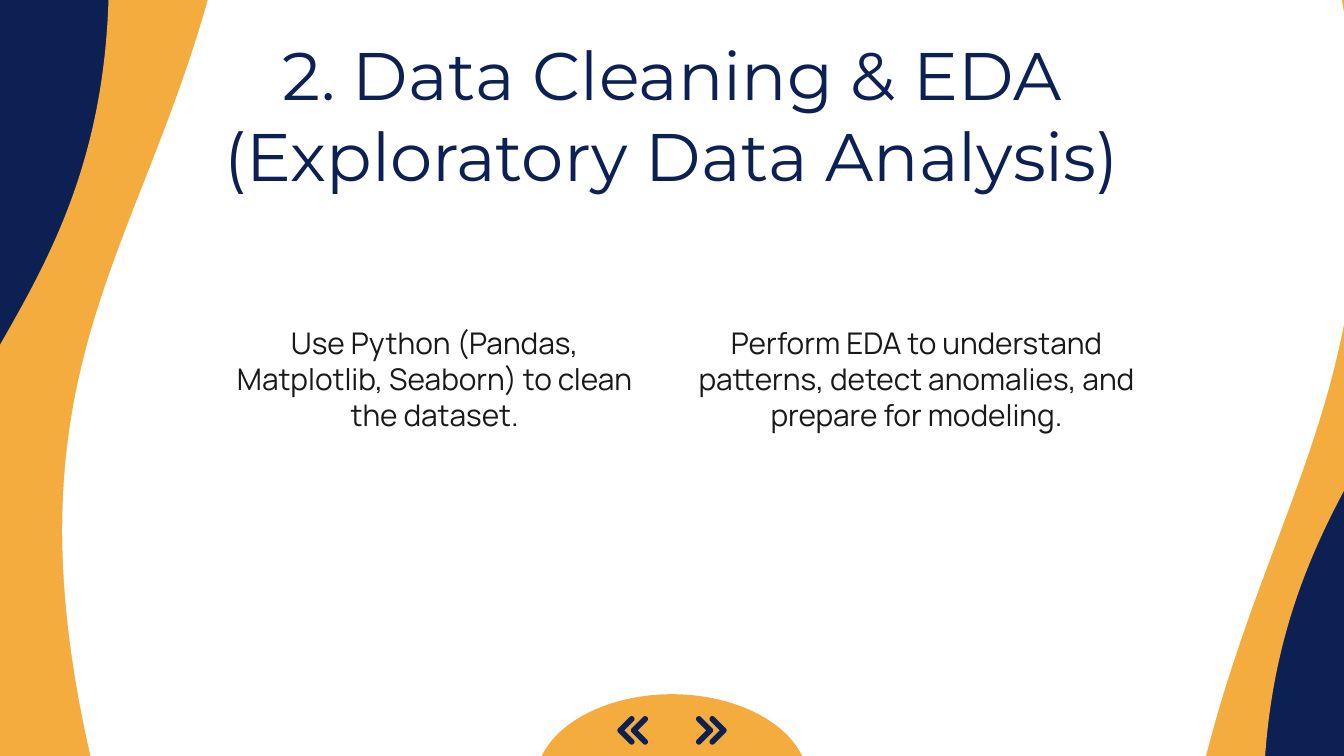
import math

import pptx
import pptx.dml.color
import pptx.enum.shapes
import pptx.enum.text
import pptx.util

NAVY = pptx.dml.color.RGBColor(0x0C, 0x20, 0x54)
ORANGE = pptx.dml.color.RGBColor(0xF3, 0xAC, 0x3D)
WHITE = pptx.dml.color.RGBColor(0xFF, 0xFF, 0xFF)
INK = pptx.dml.color.RGBColor(0x19, 0x19, 0x19)
EMU_PER_PX = 4572
SHAPE = pptx.enum.shapes.MSO_SHAPE


def px(length):
    return pptx.util.Emu(length * EMU_PER_PX)


class SlideBuilder:
    title_font = "Montserrat"
    body_font = "Manrope"
    title_size = 36
    body_size = 16
    inset = 20

    def __init__(self, deck):
        self.page = deck.slides.add_slide(deck.slide_layouts[6])

    def background(self, color):
        fill = self.page.background.fill
        fill.solid()
        fill.fore_color.rgb = color

    def paint(self, shape, color):
        shape.shadow.inherit = False
        shape.fill.solid()
        shape.fill.fore_color.rgb = color
        shape.line.fill.background()

    def flipped(self, kind, left, top, width, height, rotation, color):
        shape = self.page.shapes.add_shape(
            kind, px(left), px(top), px(width), px(height))
        self.paint(shape, color)
        shape.rotation = rotation
        shape._element.spPr.xfrm.set("flipH", "1")
        return shape

    def text(self, words, left, top, width, height, font, size, color):
        box = self.page.shapes.add_textbox(px(left), px(top), px(width), px(height))
        frame = box.text_frame
        frame.word_wrap = True
        frame.vertical_anchor = pptx.enum.text.MSO_ANCHOR.MIDDLE
        frame.margin_left = frame.margin_right = px(self.inset)
        frame.margin_top = frame.margin_bottom = px(self.inset)
        frame.text = words
        para = frame.paragraphs[0]
        para.alignment = pptx.enum.text.PP_ALIGN.CENTER
        span = para.runs[0]
        span.font.name = font
        span.font.size = pptx.util.Pt(size)
        span.font.color.rgb = color

    def title(self, words, left, top, width, height):
        self.text(words, left, top, width, height, self.title_font, self.title_size, NAVY)

    def body(self, words, left, top, width, height):
        self.text(words, left, top, width, height, self.body_font, self.body_size, INK)

    def chevron(self, shapes, back, middle, direction):
        reach, radius, detail = 17, 4.2, 100
        arcs = [
            (0, -reach, 135, 315),
            (reach, 0, -45, 45),
            (0, reach, 45, 225),
        ]
        outline = []
        for x, y, start, stop in arcs:
            for angle in range(start, stop + 1, 15):
                turn = math.radians(angle)
                outline.append((x + radius * math.cos(turn), y + radius * math.sin(turn)))
        outline.append((reach - radius * math.sqrt(2), 0))
        points = [((back + direction * x) * detail, (middle + y) * detail)
                  for x, y in outline]
        builder = shapes.build_freeform(*points[0], scale=EMU_PER_PX / detail)
        builder.add_line_segments(points[1:], close=True)
        self.paint(builder.convert_to_shape(), NAVY)

    def double_chevron(self, center, middle, direction):
        group = self.page.shapes.add_group_shape()
        for offset in (40, 60):
            self.chevron(group.shapes, center + direction * offset, middle, direction)


def main():
    deck = pptx.Presentation()
    deck.slide_width, deck.slide_height = px(2000), px(1125)
    slide = SlideBuilder(deck)
    slide.background(NAVY)

    waves = [
        (6, -188, 1246, 1546, 90, ORANGE),
        (788, -190, 1250, 1546, 270, ORANGE),
        (290, -76, 1934, 1568, 270, WHITE),
        (-64, -404, 1820, 1546, 90, WHITE),
    ]
    for wave in waves:
        slide.flipped(SHAPE.FLOWCHART_DOCUMENT, *wave)

    slide.title("2. Data Cleaning & EDA (Exploratory Data Analysis)", 157, 117, 1686, 106)
    slide.body("Use Python (Pandas, Matplotlib, Seaborn) to clean the dataset.",
               330, 444, 634, 238)
    slide.body("Perform EDA to understand patterns, detect anomalies, and prepare for modeling.",
               1011, 466, 706, 194)

    dome = slide.flipped(SHAPE.PIE, 797, 1033, 406, 262, 180, ORANGE)
    dome.adjustments[0] = 0
    dome.adjustments[1] = 108.31
    for direction in (1, -1):
        slide.double_chevron(1000, 1087, direction)

    deck.save("out.pptx")


if __name__ == "__main__":
    main()
